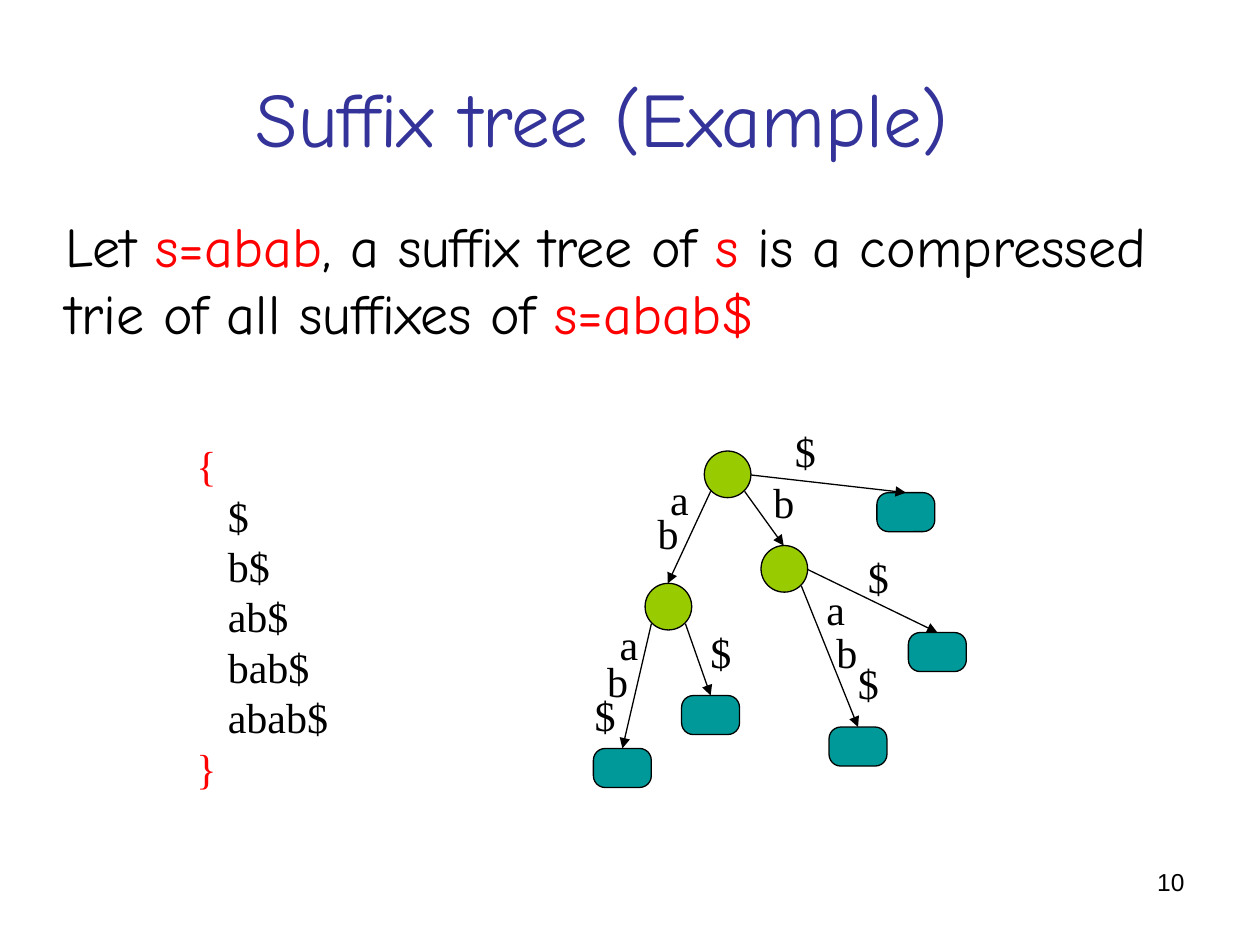
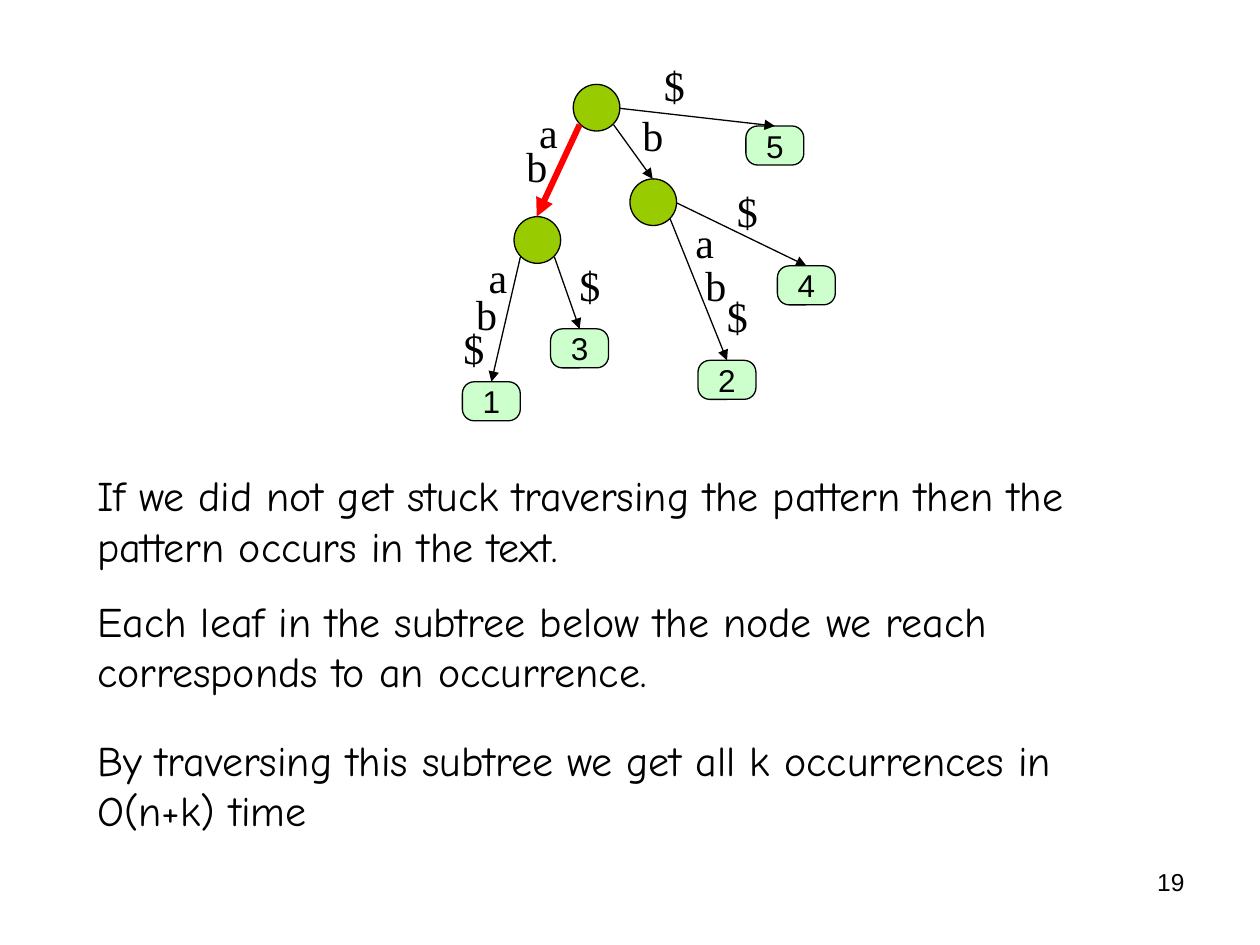
from dataclasses import dataclass

from pptx import Presentation
from pptx.dml.color import RGBColor as Rgb
from pptx.enum.shapes import MSO_CONNECTOR as Wire, MSO_SHAPE as Form
from pptx.enum.text import MSO_ANCHOR as Anchor, MSO_AUTO_SIZE as Auto, PP_ALIGN as Align
from pptx.oxml.ns import qn
from pptx.util import Pt

PX = 9144  # EMU per px, 100 px to the inch


@dataclass(frozen=True)
class Theme:
    ink: str = "000000"
    red: str = "FF0000"
    blue: str = "333399"
    lime: str = "99CC00"
    teal: str = "009999"
    mint: str = "CCFFCC"
    hand: str = "Comic Neue"
    serif: str = "Times New Roman"
    sans: str = "Arial"
    head: int = 44
    lead: int = 32
    text: int = 24
    leaf: int = 18
    foot: int = 14
    thin: float = 0.75
    bold: float = 3.5
    pitch: float = 1.2  # line pitch in ems


T = Theme()

# Suffix tree of abab$, measured from the top left of its root
DOT = 37
LEAF = (46, 31)
NODES = {"root": (0, 0), "ab": (-47, 105), "b": (45, 75)}
LEAVES = {"1": (-88, 236), "2": (99, 219), "3": (-18, 194),
          "4": (162, 144), "5": (137, 33)}
PORTS = {"left": (5, 32), "down": (32, 32), "right": (37, 19)}
EDGES = [("root", "left", "ab"), ("root", "down", "b"), ("root", "right", "5"),
         ("ab", "left", "1"), ("ab", "down", "3"),
         ("b", "down", "2"), ("b", "right", "4")]
MARKS = [("a", -37, 13), ("b", -47, 40), ("b", 45, 15), ("$", 62, -25),
         ("a", -77, 128), ("b", -87, 157), ("$", -97, 184), ("$", -5, 134),
         ("a", 87, 100), ("b", 95, 134), ("$", 112, 159), ("$", 120, 75)]


def put(obj, **vals):
    for name, val in vals.items():
        setattr(obj, name, val)


class Deck:
    def __init__(self):
        self.file = Presentation()
        put(self.file, slide_width=1000 * PX, slide_height=750 * PX)
        self.slide = None

    def page(self, num):
        self.slide = self.file.slides.add_slide(self.file.slide_layouts[1])
        self.label(num, 717, 683, 233, 52, T.sans, T.foot, Align.RIGHT)

    def place(self, shape, x, y, w, h):
        put(shape, left=x * PX, top=y * PX, width=w * PX, height=h * PX)

    def fill(self, shape, paras, font, size, align=Align.LEFT,
             anchor=Anchor.TOP, wrap=True):
        """Fill a shape; each paragraph is a list of (text, colour) runs."""
        frame = shape.text_frame
        put(frame, word_wrap=wrap, auto_size=Auto.NONE, vertical_anchor=anchor,
            margin_left=10 * PX, margin_right=10 * PX,
            margin_top=5 * PX, margin_bottom=5 * PX)
        for i, runs in enumerate(paras):
            para = frame.add_paragraph() if i else frame.paragraphs[0]
            put(para, alignment=align, space_before=Pt(0),
                line_spacing=Pt(round(size * T.pitch, 1)))
            for text, tint in runs:
                run = para.add_run()
                run.text = text
                put(run.font, name=font, size=Pt(size))
                run.font.color.rgb = Rgb.from_string(tint)
        return frame.paragraphs

    def title(self, text, *box):
        shape = self.slide.shapes.title
        self.place(shape, *box)
        self.fill(shape, [[(text, T.blue)]], T.hand, T.head,
                  Align.CENTER, Anchor.MIDDLE)

    def untitle(self):
        item = self.slide.shapes.title._element
        item.getparent().remove(item)

    def body(self, paras, size, *box):
        shape = self.slide.placeholders[1]
        self.place(shape, *box)
        lines = self.fill(shape, paras, T.hand, size)
        for para in lines:  # no bullet, no hanging indent
            props = para._p.get_or_add_pPr()
            props.set("marL", "0")
            props.set("indent", "0")
            props.append(props.makeelement(qn("a:buNone"), {}))
        return lines

    def block(self, paras, font, size, box, align=Align.LEFT):
        shape = self.slide.shapes.add_textbox(*(n * PX for n in box))
        return self.fill(shape, paras, font, size, align)

    def label(self, text, x, y, w=42, h=50, font=T.serif, size=T.text,
              align=Align.LEFT):
        self.block([[(text, T.ink)]], font, size, (x, y, w, h), align)

    def shape(self, form, tint, x, y, w, h):
        shape = self.slide.shapes.add_shape(form, x * PX, y * PX, w * PX, h * PX)
        shape.shadow.inherit = False
        shape.fill.solid()
        shape.fill.fore_color.rgb = Rgb.from_string(tint)
        shape.line.color.rgb = Rgb.from_string(T.ink)
        shape.line.width = Pt(T.thin)
        return shape

    def arrow(self, x1, y1, x2, y2, tint=T.ink, width=T.thin):
        wire = self.slide.shapes.add_connector(
            Wire.STRAIGHT, *(n * PX for n in (x1, y1, x2, y2)))
        wire.line.color.rgb = Rgb.from_string(tint)
        wire.line.width = Pt(width)
        line = wire.line._get_or_add_ln()
        line.append(line.makeelement(qn("a:tailEnd"), {"type": "triangle"}))
        props = wire._element.spPr
        props.append(props.makeelement(qn("a:effectLst"), {}))

    def tree(self, x, y, tint, named=False, hot=None):
        """Draw the suffix tree; hot is the edge to stress."""
        for dx, dy in NODES.values():
            self.shape(Form.OVAL, T.lime, x + dx, y + dy, DOT, DOT)
        for name, (dx, dy) in LEAVES.items():
            leaf = self.shape(Form.ROUNDED_RECTANGLE, tint, x + dx, y + dy, *LEAF)
            leaf.adjustments[0] = 0.3
            if named:
                self.fill(leaf, [[(name, T.ink)]], T.sans, T.leaf,
                          Align.CENTER, Anchor.MIDDLE, False)
        for start, port, end in EDGES:
            (sx, sy), (px, py) = NODES[start], PORTS[port]
            ex, ey = NODES.get(end) or LEAVES[end]
            half = (DOT if end in NODES else LEAF[0]) // 2
            look = (T.red, T.bold) if (start, end) == hot else ()
            self.arrow(x + sx + px, y + sy + py, x + ex + half, y + ey, *look)
        for text, dx, dy in MARKS:
            self.label(text, x + dx, y + dy)


def example(deck):
    deck.page("10")
    deck.title("Suffix tree (Example)", 28, 30, 900, 125)
    deck.body([[("Let ", T.ink), ("s=abab", T.red), (", a suffix tree of ", T.ink),
                ("s", T.red), (" is a compressed trie of all suffixes of ", T.ink),
                ("s=abab$", T.red)]], T.lead, 42, 163, 925, 117)
    # Set of suffixes, indented between red braces
    items = ["$", "b$", "ab$", "bab$", "abab$"]
    rows = [[("{", T.red)], *([(s, T.ink)] for s in items), [("}", T.red)]]
    lines = deck.block(rows, T.serif, T.text, (146, 344, 133, 290))
    for para in lines[1:-1]:
        para._p.get_or_add_pPr().set("marL", str(25 * PX))
    deck.tree(559, 358, T.teal)


def search(deck):
    deck.page("19")
    deck.untitle()
    deck.tree(455, 67, T.mint, named=True, hot=("root", "ab"))
    facts = ["If we did not get stuck traversing the pattern then the "
             "pattern occurs in the text.",
             "Each leaf in the subtree below the node we reach "
             "corresponds to an occurrence.",
             "By traversing this subtree we get all k occurrences in O(n+k) time"]
    lines = deck.body([[(f, T.ink)] for f in facts], T.text, 67, 368, 850, 300)
    for para, gap in zip(lines[1:], (14, 22)):
        para.space_before = Pt(gap)


def main():
    deck = Deck()
    example(deck)
    search(deck)
    deck.file.save("out.pptx")


if __name__ == "__main__":
    main()
